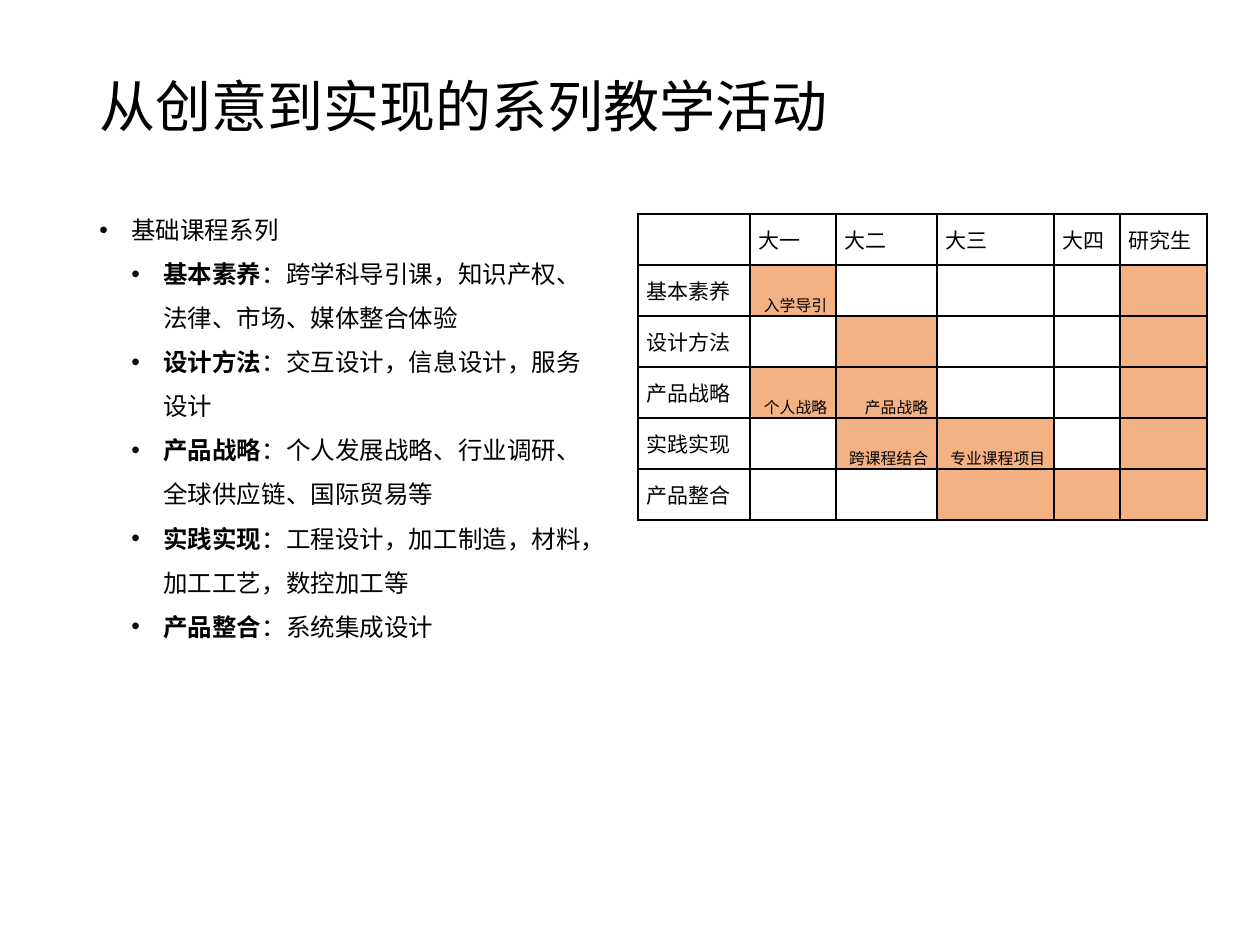
from dataclasses import dataclass
from typing import Any

from lxml import etree
from pptx import Presentation
from pptx import util as u
from pptx.dml.color import RGBColor
from pptx.enum import text
from pptx.oxml import ns

EMU_PER_PX = 914400 / 126


@dataclass(frozen=True)
class Theme:
    font: str = "Calibri"
    ink: str = "000000"
    planned: str = "F4B183"
    title_size: int = 32
    body_size: int = 14
    table_size: int = 12
    note_size: int = 9
    border_width: int = 1


@dataclass(frozen=True)
class Area:
    left: int
    top: int
    width: int
    height: int


@dataclass(frozen=True)
class Course:
    name: str
    topics: str


@dataclass(frozen=True)
class TrackRow:
    name: str
    planned: dict[int, str]  # column number -> note in the coloured cell


THEME = Theme()
TITLE_AREA = Area(87, 50, 1086, 118)
BODY_AREA = Area(87, 194, 512, 658)
TABLE_AREA = Area(638, 214, 569, 306)
COLUMN_WIDTHS = [112, 86, 101, 117, 66, 87]
ROW_HEIGHT = 51
CELL_INSET = 9
INDENT_STEP = 32

COURSES = [
    Course("基本素养", "：跨学科导引课，知识产权、法律、市场、媒体整合体验"),
    Course("设计方法", "：交互设计，信息设计，服务设计"),
    Course("产品战略", "：个人发展战略、行业调研、全球供应链、国际贸易等"),
    Course("实践实现", "：工程设计，加工制造，材料，加工工艺，数控加工等"),
    Course("产品整合", "：系统集成设计"),
]
YEARS = ["", "大一", "大二", "大三", "大四", "研究生"]
TRACKS = [
    TrackRow("基本素养", {1: "入学导引", 5: ""}),
    TrackRow("设计方法", {2: "", 5: ""}),
    TrackRow("产品战略", {1: "个人战略", 2: "产品战略", 5: ""}),
    TrackRow("实践实现", {2: "跨课程结合", 3: "专业课程项目", 5: ""}),
    TrackRow("产品整合", {3: "", 4: "", 5: ""}),
]


def px(length: int) -> u.Emu:
    return u.Emu(round(length * EMU_PER_PX))


def place(area: Area) -> tuple[u.Emu, ...]:
    return tuple(px(side) for side in (area.left, area.top, area.width, area.height))


def apply(target: Any, values: dict[str, Any]) -> None:
    for name, value in values.items():
        setattr(target, name, value)


def add_span(para: Any, words: str, size: int, bold: bool = False) -> None:
    span = para.add_run()
    span.text = words
    apply(span.font, {"name": THEME.font, "size": u.Pt(size), "bold": bold})
    span.font.color.rgb = RGBColor.from_string(THEME.ink)


def add_box(page: Any, area: Area, anchor: Any) -> Any:
    frame = page.shapes.add_textbox(*place(area)).text_frame
    apply(frame, {"word_wrap": True, "vertical_anchor": anchor})
    return frame


def add_bullet(para: Any, level: int) -> None:
    props = para._p.get_or_add_pPr()
    props.set("marL", str(px(INDENT_STEP * level)))
    props.set("indent", str(-px(INDENT_STEP)))
    etree.SubElement(props, ns.qn("a:buFont"), typeface="Arial")
    etree.SubElement(props, ns.qn("a:buChar"), char="•")


def add_borders(cell: Any) -> None:
    props = cell._tc.get_or_add_tcPr()
    for side in ("lnL", "lnR", "lnT", "lnB"):
        line = etree.SubElement(props, ns.qn(f"a:{side}"), w=str(u.Pt(THEME.border_width)))
        fill = etree.SubElement(line, ns.qn("a:solidFill"))
        etree.SubElement(fill, ns.qn("a:srgbClr"), val=THEME.ink)


def fill_cell(cell: Any, words: str, planned: bool) -> None:
    apply(cell, {
        "margin_left": px(CELL_INSET),
        "margin_right": px(CELL_INSET),
        "margin_top": 0,
        "margin_bottom": 0,
        "vertical_anchor": text.MSO_ANCHOR.BOTTOM if planned else text.MSO_ANCHOR.MIDDLE,
    })
    add_borders(cell)
    if planned:
        cell.fill.solid()
        cell.fill.fore_color.rgb = RGBColor.from_string(THEME.planned)
    else:
        cell.fill.background()
    if words:
        para = cell.text_frame.paragraphs[0]
        para.alignment = text.PP_ALIGN.RIGHT if planned else text.PP_ALIGN.JUSTIFY
        add_span(para, words, THEME.note_size if planned else THEME.table_size)


def draw_title(page: Any) -> None:
    para = add_box(page, TITLE_AREA, text.MSO_ANCHOR.MIDDLE).paragraphs[0]
    para.line_spacing = 0.9
    add_span(para, "从创意到实现的系列教学活动", THEME.title_size)


def draw_courses(page: Any) -> None:
    frame = add_box(page, BODY_AREA, text.MSO_ANCHOR.TOP)
    heading = frame.paragraphs[0]
    apply(heading, {"line_spacing": 1.5, "space_before": u.Pt(10)})
    add_bullet(heading, 1)
    add_span(heading, "基础课程系列", THEME.body_size)
    for course in COURSES:
        para = frame.add_paragraph()
        apply(para, {"line_spacing": 1.5, "space_before": u.Pt(0)})
        add_bullet(para, 2)
        add_span(para, course.name, THEME.body_size, bold=True)
        add_span(para, course.topics, THEME.body_size)


def draw_schedule(page: Any) -> None:
    table = page.shapes.add_table(len(TRACKS) + 1, len(YEARS), *place(TABLE_AREA)).table
    apply(table, {"first_row": False, "horz_banding": False})
    for column, width in zip(table.columns, COLUMN_WIDTHS):
        column.width = px(width)
    for row in table.rows:
        row.height = px(ROW_HEIGHT)
    # Year headings, then one row per track
    for number, year in enumerate(YEARS):
        fill_cell(table.cell(0, number), year, False)
    for row_number, track in enumerate(TRACKS, start=1):
        fill_cell(table.cell(row_number, 0), track.name, False)
        for number in range(1, len(YEARS)):
            note = track.planned.get(number, "")
            fill_cell(table.cell(row_number, number), note, number in track.planned)


def main() -> None:
    deck = Presentation()
    apply(deck, {"slide_width": px(1260), "slide_height": px(945)})
    page = deck.slides.add_slide(deck.slide_layouts[6])
    draw_title(page)
    draw_schedule(page)
    draw_courses(page)
    deck.save("out.pptx")


if __name__ == "__main__":
    main()
